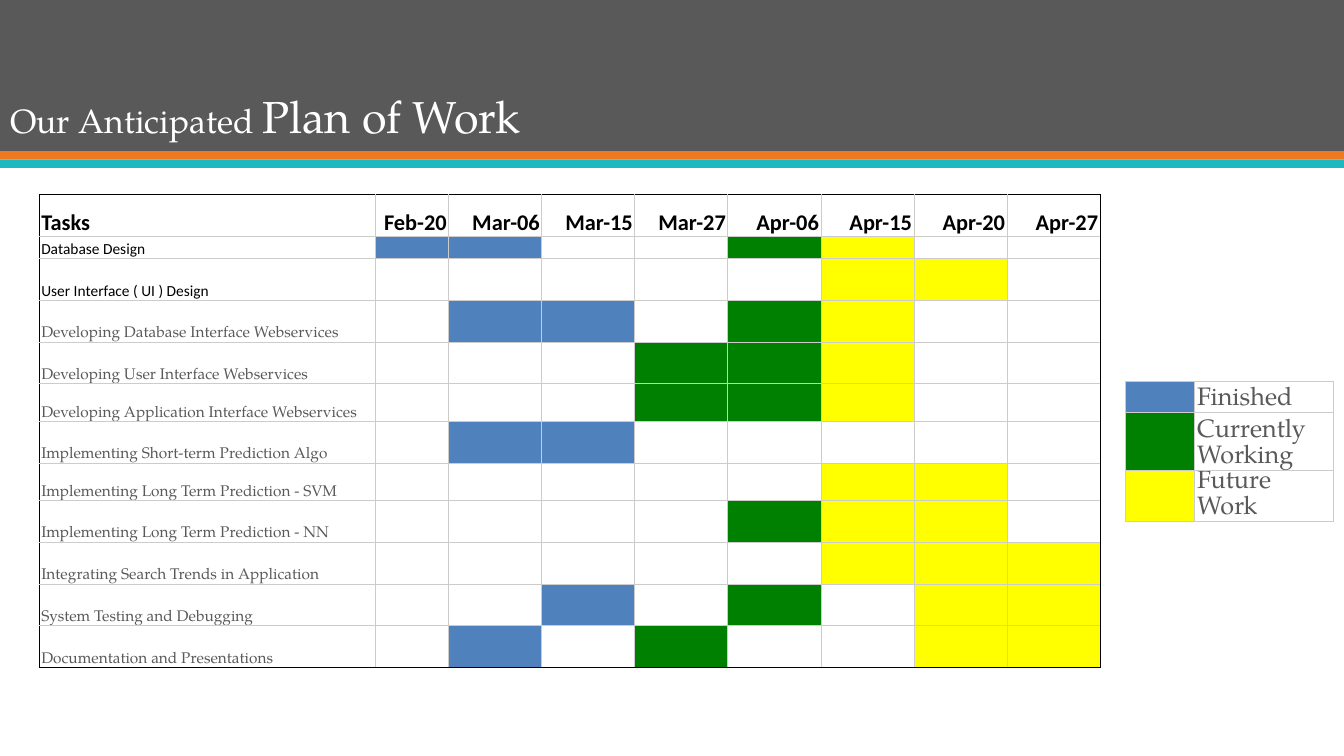
from lxml import etree
from pptx import Presentation
from pptx.dml.color import RGBColor
from pptx.enum import shapes, text
from pptx.oxml.ns import qn
from pptx.util import Pt

WHITE = RGBColor(0xFF, 0xFF, 0xFF)
BLACK = RGBColor(0, 0, 0)
GREY = RGBColor(0x59, 0x59, 0x59)
ORANGE = RGBColor(0xEF, 0x79, 0x20)
TEAL = RGBColor(0x1E, 0xB8, 0xC1)
RULE = RGBColor(0xCC, 0xCC, 0xCC)
BLUE = RGBColor(0x4F, 0x81, 0xBD)
GREEN = RGBColor(0, 0x80, 0)
YELLOW = RGBColor(0xFF, 0xFF, 0)

SERIF, SANS = "TeX Gyre Pagella", "Calibri"
STATE = {"F": BLUE, "C": GREEN, "W": YELLOW, ".": WHITE}
DATES = ["Feb-20", "Mar-06", "Mar-15", "Mar-27",
         "Apr-06", "Apr-15", "Apr-20", "Apr-27"]
# Task, row height, state at each date: Finished, Current, future Work
TASKS = [
    ("Database Design", 15.8, "FF..CW.."),
    ("User Interface ( UI ) Design", 29.8, ".....WW."),
    ("Developing Database Interface Webservices", 29.8, ".FF.CW.."),
    ("Developing User Interface Webservices", 29.8, "...CCW.."),
    ("Developing Application Interface Webservices", 27.1, "...CCW.."),
    ("Implementing Short-term Prediction Algo", 29.8, ".FF....."),
    ("Implementing Long Term Prediction - SVM", 26.6, ".....WW."),
    ("Implementing Long Term Prediction - NN", 29.8, "....CWW."),
    ("Integrating Search Trends in Application", 29.8, ".....WWW"),
    ("System Testing and Debugging", 29.8, "..F.C.WW"),
    ("Documentation and Presentations", 29.8, ".F.C..WW"),
]
LEGEND = [("Finished", 22.3, BLUE), ("Currently Working", 41.4, GREEN),
          ("Future Work", 36.4, YELLOW)]


def add_run(para, words, size, face, color, bold=False):
    run = para.add_run()
    run.text = words
    font = run.font
    font.size, font.name, font.bold = Pt(size), face, bold
    font.color.rgb = color


def add_grid(slide, left, top, cols, rows):
    frame = slide.shapes.add_table(len(rows), len(cols), Pt(left), Pt(top),
                                   Pt(sum(cols)), Pt(sum(rows)))
    grid = frame.table
    grid.first_row = grid.horz_banding = False
    for col, width in zip(grid.columns, cols):
        col.width = Pt(width)
    for row, height in zip(grid.rows, rows):
        row.height = Pt(height)
    return grid


def style_cell(cell, fill, inset, edges):
    """Set fill, margins and the left, right, top and bottom edge colours."""
    cell.fill.solid()
    cell.fill.fore_color.rgb = fill
    cell.margin_left = cell.margin_right = Pt(inset)
    cell.margin_top = cell.margin_bottom = 0
    cell.vertical_anchor = text.MSO_ANCHOR.BOTTOM
    props = cell._tc.get_or_add_tcPr()
    for i, (side, color) in enumerate(zip("LRTB", edges)):
        line = etree.Element(qn("a:ln" + side), w=str(Pt(0.6)))
        solid = etree.SubElement(line, qn("a:solidFill"))
        etree.SubElement(solid, qn("a:srgbClr"), val=str(color))
        props.insert(i, line)


def size_blank(cell, size):
    """Keep an empty cell from forcing its row taller."""
    para = cell.text_frame.paragraphs[0]
    etree.SubElement(para._p, qn("a:endParaRPr"), sz=str(size * 100))


def draw_header(slide, width):
    title = slide.shapes.title
    for top, height, color in ((0, 108, GREY), (108, 6, ORANGE), (114, 6, TEAL)):
        bar = slide.shapes.add_shape(shapes.MSO_SHAPE.RECTANGLE, 0, Pt(top),
                                     Pt(width), Pt(height))
        bar.shadow.inherit = False
        bar.fill.solid()
        bar.fill.fore_color.rgb = color
        bar.line.fill.background()
        title.element.addprevious(bar.element)
    title.left, title.top = 0, Pt(24.5)
    title.width, title.height = Pt(756), Pt(81.4)
    frame = title.text_frame
    frame.word_wrap = True
    frame.auto_size = text.MSO_AUTO_SIZE.NONE
    frame.vertical_anchor = text.MSO_ANCHOR.BOTTOM
    para = frame.paragraphs[0]
    para.alignment = text.PP_ALIGN.LEFT
    para.line_spacing = 0.9
    add_run(para, "Our Anticipated ", 24, SERIF, WHITE)
    add_run(para, "Plan of Work", 32, SERIF, WHITE)


def draw_plan(slide, left, top):
    cols = [239.8, 52.6] + [66.5] * 7
    rows = [29.8] + [height for _, height, _ in TASKS]
    grid = add_grid(slide, left, top, cols, rows)
    lines = [["Tasks"] + DATES] + [[task] + [""] * 8 for task, _, _ in TASKS]
    marks = ["." * 9] + ["." + states for _, _, states in TASKS]
    for r, line in enumerate(lines):
        for c, words in enumerate(line):
            cell = grid.cell(r, c)
            outer = (c == 0, c == len(cols) - 1, r == 0, r == len(rows) - 1)
            edges = [BLACK if out else RULE for out in outer]
            style_cell(cell, STATE[marks[r][c]], 1.4, edges)
            para = cell.text_frame.paragraphs[0]
            if r == 0:
                add_run(para, words, 16, SANS, BLACK, True)
                if c:
                    para.alignment = text.PP_ALIGN.RIGHT
            elif c == 0:
                face, color = (SANS, BLACK) if r < 3 else (SERIF, GREY)
                add_run(para, words, 11, face, color)
            else:
                size_blank(cell, 11)


def draw_legend(slide, left, top):
    grid = add_grid(slide, left, top, [49.2, 99.2],
                    [height for _, height, _ in LEGEND])
    for r, (words, _, color) in enumerate(LEGEND):
        swatch, label = grid.cell(r, 0), grid.cell(r, 1)
        style_cell(swatch, color, 2.2, [RULE] * 4)
        size_blank(swatch, 11)
        style_cell(label, WHITE, 2.2, [RULE] * 4)
        para = label.text_frame.paragraphs[0]
        para.line_spacing = Pt(18.2)
        add_run(para, words, 18, SERIF, GREY)


def main():
    deck = Presentation()
    deck.slide_width, deck.slide_height = Pt(960), Pt(540)
    slide = deck.slides.add_slide(deck.slide_layouts[5])
    draw_header(slide, 960)
    draw_plan(slide, 28.1, 139.1)
    draw_legend(slide, 803.7, 272.2)
    deck.save("out.pptx")


if __name__ == "__main__":
    main()
